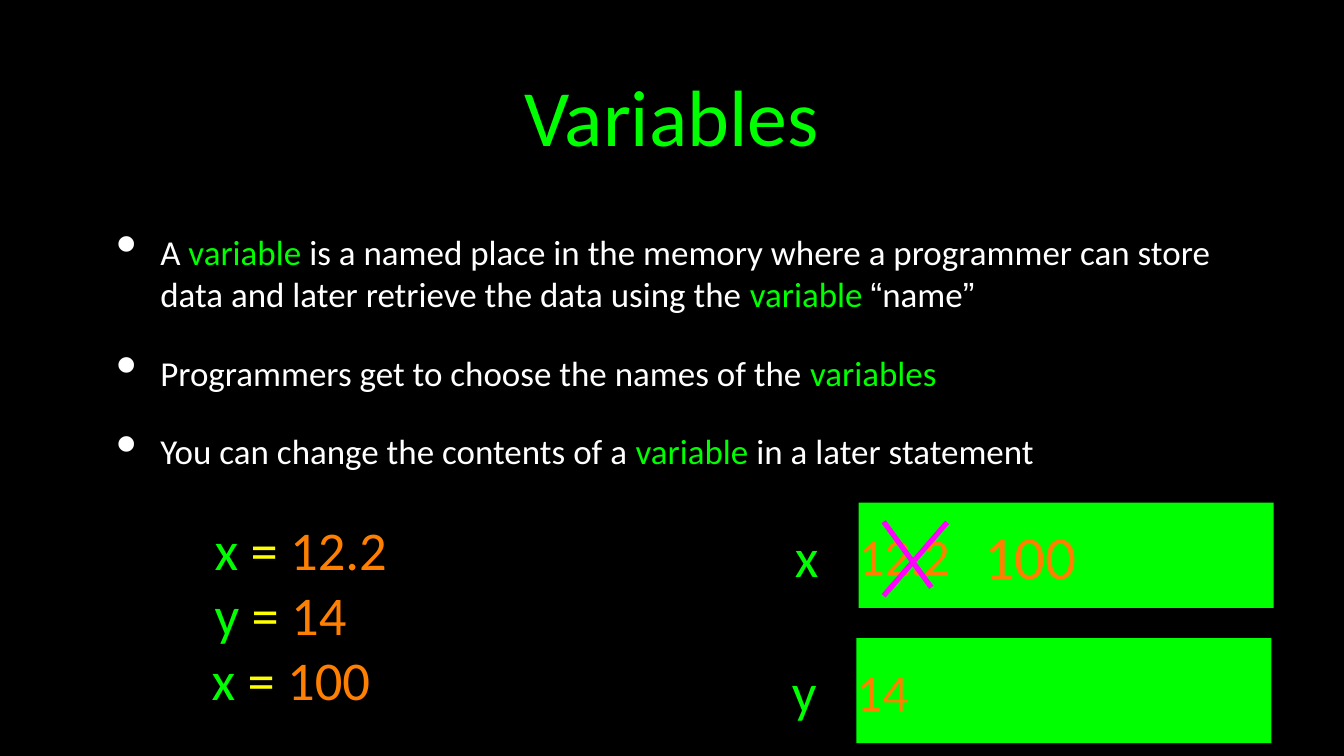
from dataclasses import dataclass

from lxml.etree import SubElement
from pptx import Presentation
from pptx.dml.color import RGBColor
from pptx.enum.shapes import MSO_CONNECTOR, MSO_SHAPE
from pptx.enum.text import MSO_ANCHOR, PP_ALIGN
from pptx.oxml.ns import qn
from pptx.util import Inches, Pt


@dataclass(frozen=True)
class Theme:
    """Colours, fonts and type sizes of the slide."""
    background: str = "000000"
    prose: str = "FFFFFF"
    name: str = "00FF00"
    operator: str = "FFFF00"
    value: str = "FF7F00"
    strike: str = "FF00FF"
    font: str = "Calibri"
    quote_font: str = "Arial"
    title_size: float = 76
    body_size: float = 33.3
    code_size: float = 52
    stored_size: float = 49
    new_size: float = 58
    paragraph_gap: float = 35
    bullet_percent: int = 171
    strike_width: float = 5


THEME = Theme()


@dataclass(frozen=True)
class Box:
    """A rectangle in inches that is divided by percentages."""
    left: float
    top: float
    width: float
    height: float

    def point(self, x, y):
        """Return the place at x and y percent of the box."""
        return self.left + self.width * x / 100, self.top + self.height * y / 100

    def inner(self, x, y, width, height):
        """Return an inner box given in percent of this one."""
        return Box(*self.point(x, y), self.width * width / 100, self.height * height / 100)

    def emu(self):
        """Return the four lengths for python-pptx."""
        return [Inches(length) for length in (self.left, self.top, self.width, self.height)]


def rgb(colour):
    """Return a colour object."""
    return RGBColor.from_string(colour)


def add_bullet(paragraph):
    """Give a paragraph a large hanging bullet."""
    properties = paragraph._p.get_or_add_pPr()
    properties.set("marL", str(Inches(0.82)))
    properties.set("indent", str(Inches(-0.58)))
    colour = SubElement(properties, qn("a:buClr"))
    SubElement(colour, qn("a:srgbClr"), val=THEME.prose)
    SubElement(properties, qn("a:buSzPct"), val=str(THEME.bullet_percent * 1000))
    SubElement(properties, qn("a:buChar"), char="•")


def write(frame, paragraphs, size, align=PP_ALIGN.LEFT, inset=0, bullets=False):
    """Fill a text frame with paragraphs of (text, colour[, font]) runs."""
    frame.word_wrap = True
    frame.vertical_anchor = MSO_ANCHOR.MIDDLE
    frame.margin_left = frame.margin_right = Inches(inset)
    frame.margin_top = frame.margin_bottom = Inches(inset)
    for index, runs in enumerate(paragraphs):
        paragraph = frame.add_paragraph() if index else frame.paragraphs[0]
        paragraph.alignment = align
        if bullets:
            add_bullet(paragraph)
            paragraph.space_before = Pt(THEME.paragraph_gap if index else 0)
        for text, colour, *font in runs:
            run = paragraph.add_run()
            run.text = text
            run.font.name = font[0] if font else THEME.font
            run.font.size = Pt(size)
            run.font.color.rgb = rgb(colour)


def add_text(slide, box, paragraphs, size, **layout):
    """Place a text box."""
    write(slide.shapes.add_textbox(*box.emu()).text_frame, paragraphs, size, **layout)


def add_title(slide, box):
    """Place the slide title."""
    add_text(slide, box, [[("Variables", THEME.name)]], THEME.title_size,
             align=PP_ALIGN.CENTER, inset=0.04)


def add_definition(slide, box):
    """Place the bullets that explain variables."""
    prose, name = THEME.prose, THEME.name
    points = [
        [("A ", prose), ("variable", name),
         (" is a named place in the memory where a programmer can store data"
          " and later retrieve the data using the ", prose),
         ("variable ", name), ("“", prose, THEME.quote_font), ("name", prose),
         ("”", prose, THEME.quote_font)],
        [("Programmers get to choose the names of the ", prose), ("variables", name)],
        [("You can change the contents of a ", prose), ("variable ", name),
         ("in a later statement", prose)],
    ]
    add_text(slide, box, points, THEME.body_size, inset=0.04, bullets=True)


def assignment(name, value):
    """Return the coloured runs of one assignment statement."""
    return [(name, THEME.name), (" = ", THEME.operator), (value, THEME.value)]


def add_code(slide, box):
    """Place the first two assignments and the later one."""
    first = [assignment("x", "12.2"), assignment("y", "14")]
    add_text(slide, box.inner(1.5, 0, 98.5, 67), first, THEME.code_size)
    add_text(slide, box.inner(0, 66.4, 91, 33.6), [assignment("x", "100")], THEME.code_size)


def add_memory_cell(slide, box, name, value):
    """Place a named cell of memory with its stored value."""
    cell = slide.shapes.add_shape(MSO_SHAPE.RECTANGLE, *box.inner(13.81, 0, 86.19, 100).emu())
    cell.shadow.inherit = False
    cell.fill.solid()
    cell.fill.fore_color.rgb = rgb(THEME.name)
    cell.line.fill.background()
    write(cell.text_frame, [[(value, THEME.value)]], THEME.stored_size)
    add_text(slide, box.inner(0, 18.7, 6, 62.6), [[(name, THEME.name)]], THEME.code_size,
             align=PP_ALIGN.CENTER)


def add_replacement(slide, box, value):
    """Cross out the stored value of a cell and place the new one beside it."""
    strokes = [((32.18, 18.7), (19, 88.5)), ((19, 18), (28.9, 80.6))]
    for start, end in strokes:
        ends = [Inches(length) for length in box.point(*start) + box.point(*end)]
        stroke = slide.shapes.add_connector(MSO_CONNECTOR.STRAIGHT, *ends)
        stroke.line.color.rgb = rgb(THEME.strike)
        stroke.line.width = Pt(THEME.strike_width)
        SubElement(stroke._element.spPr, qn("a:effectLst"))
    add_text(slide, box.inner(38.62, 15.1, 21.66, 69.8), [[(value, THEME.value)]],
             THEME.new_size, align=PP_ALIGN.CENTER)


def main():
    """Build and save the slide."""
    page = Box(0, 0, 17.78, 10)
    deck = Presentation()
    deck.slide_width, deck.slide_height = Inches(page.width), Inches(page.height)
    slide = deck.slides.add_slide(deck.slide_layouts[6])
    slide.background.fill.solid()
    slide.background.fill.fore_color.rgb = rgb(THEME.background)

    add_title(slide, page.inner(7.09, 2.6, 85.71, 25.1))
    add_definition(slide, page.inner(7.09, 28.2, 85.71, 36.5))
    x_cell = page.inner(58.94, 66.5, 35.83, 13.9)
    add_memory_cell(slide, x_cell, "x", "12.2")
    add_memory_cell(slide, page.inner(58.77, 84.4, 35.83, 13.9), "y", "14")
    add_code(slide, page.inner(15.75, 68.2, 14.87, 25.9))
    add_replacement(slide, x_cell, "100")
    deck.save("out.pptx")


if __name__ == "__main__":
    main()
